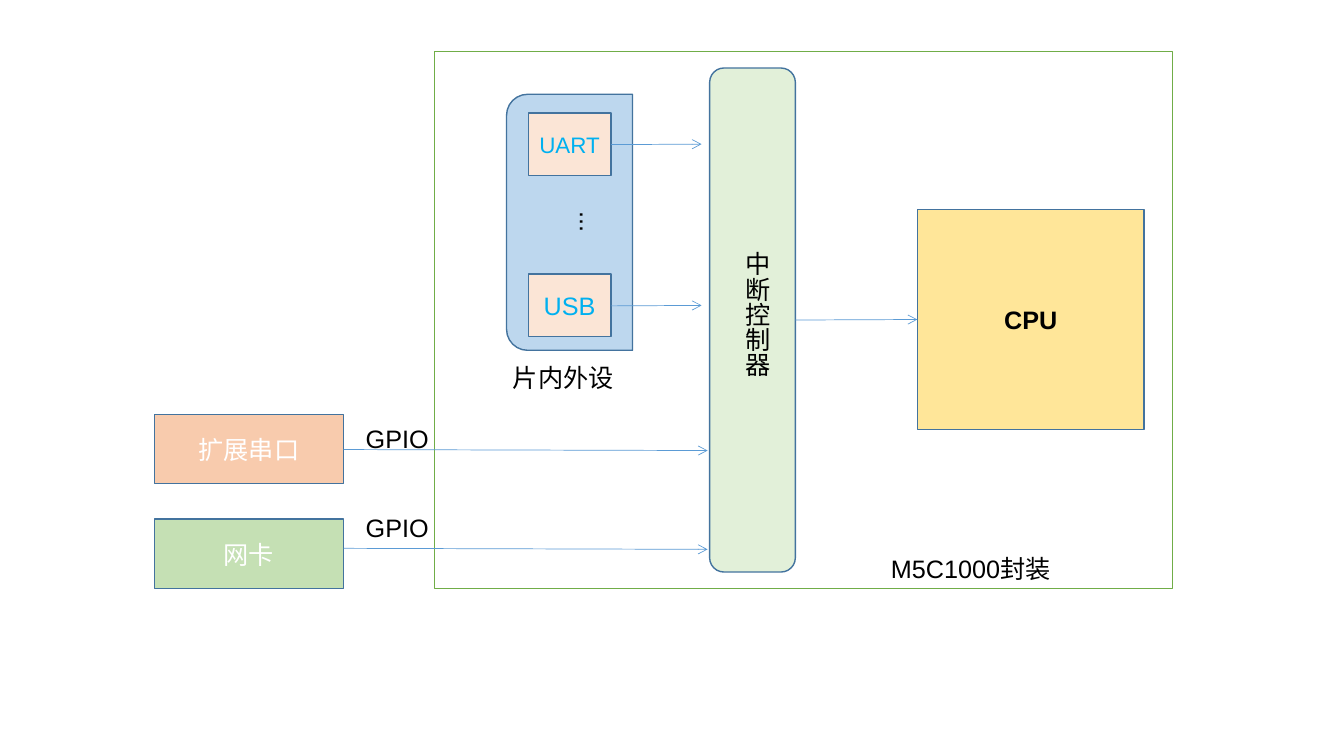
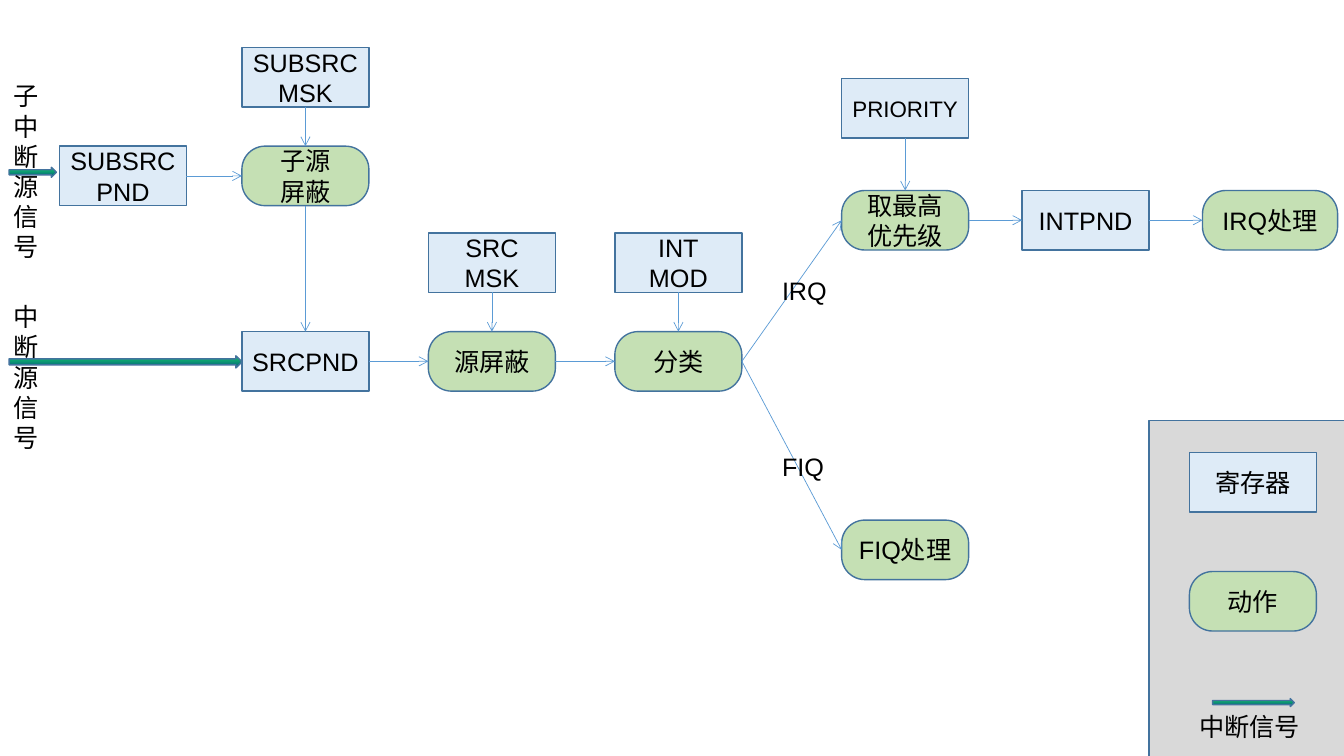
"""Build two slides on interrupt handling: the chip layout and the register flow."""
from lxml import etree
from pptx import Presentation
from pptx.dml.color import RGBColor
from pptx.enum.shapes import MSO_CONNECTOR, MSO_SHAPE
from pptx.enum.text import MSO_ANCHOR, PP_ALIGN
from pptx.oxml.ns import qn
from pptx.util import Inches, Pt

RECT, ROUND = MSO_SHAPE.RECTANGLE, MSO_SHAPE.ROUNDED_RECTANGLE
TAB, ARROW = MSO_SHAPE.ROUND_2_SAME_RECTANGLE, MSO_SHAPE.RIGHT_ARROW
STRAIGHT = MSO_CONNECTOR.STRAIGHT
MIDDLE, CENTER = MSO_ANCHOR.MIDDLE, PP_ALIGN.CENTER
TOP, LEFT, BOTTOM, RIGHT = range(4)

CELL = Inches(0.1)
COLS, ROWS = 133.33, 75
BORDER, LINK = "43739E", "5B9BD5"
GREEN, PALE_BLUE = "C5E0B4", "DEEBF7"
SIGNAL = ("14CD68", "035C7D")
FONT = {"name": "Arial", "size": Pt(18), "bold": False}


def box(s, kind, at, text="", fill=None, line=BORDER, color="000000", **fmt):
    """Add a shape, or a text box when kind is None, at grid cells x, y, w, h."""
    at = [round(v * CELL) for v in at]
    if kind is None:
        sp = s.shapes.add_textbox(*at)
    else:
        sp = s.shapes.add_shape(kind, *at)
        sp.shadow.inherit = False
        sp.line.color.rgb = RGBColor.from_string(line)
        sp.line.width = Pt(1)
        if isinstance(fill, tuple):
            sp.fill.gradient()
            sp.fill.gradient_angle = 270
            for stop, c in zip(sp.fill.gradient_stops, fill):
                stop.color.rgb = RGBColor.from_string(c)
        else:
            sp.fill.solid()
            sp.fill.fore_color.rgb = RGBColor.from_string(fill)
    tf = sp.text_frame
    tf.word_wrap = True
    if text:
        tf.text = text
    if kind is not None:
        tf.vertical_anchor = MIDDLE
    for p in tf.paragraphs:
        if kind is not None:
            p.alignment = CENTER
        for r in p.runs:
            for k, v in {**FONT, **fmt}.items():
                setattr(r.font, k, v)
            r.font.color.rgb = RGBColor.from_string(color)
    return sp


def link(s, x1, y1, x2, y2):
    """Add a thin connector with an open arrowhead at its end."""
    c = s.shapes.add_connector(STRAIGHT, *[round(v * CELL) for v in (x1, y1, x2, y2)])
    c.line.color.rgb = RGBColor.from_string(LINK)
    c.line.width = Pt(0.5)
    etree.SubElement(c.line._get_or_add_ln(), qn("a:tailEnd"), type="arrow")
    etree.SubElement(c._element.spPr, qn("a:effectLst"))
    return c


prs = Presentation()
prs.slide_width, prs.slide_height = round(COLS * CELL), ROWS * CELL
blank = prs.slide_layouts[6]

s = prs.slides.add_slide(blank)
box(s, RECT, (43.1, 5.1, 73.2, 53.3), fill="FFFFFF", line="70AD47")
sp = box(s, TAB, (43.8, 15.8, 25.4, 12.5), "...", "BDD7EE")
sp.rotation = 270
box(s, None, (49.9, 35.5, 12.8, 4), "片内外设")
controller = box(s, ROUND, (70.4, 6.75, 8.5, 50), fill="E2F0D9")
cpu = box(s, RECT, (91, 20.8, 22.5, 21.8), "CPU", "FFE699", bold=True)
sp = box(s, None, (72.1, 24, 5, 15.6), "中断控制器")
sp.text_frame._txBody.bodyPr.set("vert", "eaVert")
box(s, None, (87.4, 54.4, 24, 4), "M5C1000封装")

for text, y, size in (("UART", 11.2, 16), ("USB", 27.2, 18)):
    box(s, RECT, (52.4, y, 8.2, 6.2), text, "FBE5D6", color="00B0F0", size=Pt(size))
    link(s, 60.6, y + 3.15, 69.6, y + 3.1)

for text, y, fill, gpio_y, link_y in (("扩展串口", 41.1, "F8CBAD", 41.5, 44.6),
                                      ("网卡", 51.5, GREEN, 50.3, 54.4)):
    box(s, RECT, (15.3, y, 18.8, 6.9), text, fill, color="FFFFFF")
    link(s, 34.1, link_y, 70.2, link_y + 0.1)
    box(s, None, (35.3, gpio_y, 11.9, 4), "GPIO")

c = link(s, 0, 0, 0, 0)
c.begin_connect(controller, RIGHT)
c.end_connect(cpu, LEFT)

s = prs.slides.add_slide(blank)
W, H = 12.6, 5.9
X = (5.9, 24, 42.5, 61, 83.5, 101.4, 119.3)
SUB_Y, MAIN_Y, IRQ_Y, FIQ_Y = 14.5, 32.9, 18.9, 51.6
MASK_GAP = 9.8
LEGEND_X = 118

box(s, RECT, (114, 41.7, 19.5, 33.4), fill="D9D9D9")

registers = (
    ("SUBSRCPND", X[0], SUB_Y),
    ("SUBSRCMSK", X[1], SUB_Y - MASK_GAP),
    ("SRCPND", X[1], MAIN_Y),
    ("SRC\nMSK", X[2], MAIN_Y - MASK_GAP),
    ("INT\nMOD", X[3], MAIN_Y - MASK_GAP),
    ("PRIORITY", X[4], 7.8),
    ("INTPND", X[5], IRQ_Y),
    ("寄存器", LEGEND_X, 44.9),
)
actions = (
    ("子源\n屏蔽", X[1], SUB_Y),
    ("源屏蔽", X[2], MAIN_Y),
    ("分类", X[3], MAIN_Y),
    ("取最高优先级", X[4], IRQ_Y),
    ("FIQ处理", X[4], FIQ_Y),
    ("IRQ处理", X[6], IRQ_Y),
    ("动作", LEGEND_X, 56.7),
)
nodes = {}
for text, x, y in registers:
    size = Pt(16 if text == "PRIORITY" else 18)
    nodes[text] = box(s, RECT, (x, y, W, H), text, PALE_BLUE, size=size)
for text, x, y in actions:
    w = 13.4 if text == "IRQ处理" else W
    nodes[text] = box(s, ROUND, (x, y, w, H), text, GREEN)
    nodes[text].adjustments[0] = 0.39

flows = {
    (RIGHT, LEFT): (("SUBSRCPND", "子源\n屏蔽"), ("SRCPND", "源屏蔽"),
                    ("源屏蔽", "分类"), ("分类", "取最高优先级"),
                    ("分类", "FIQ处理"), ("取最高优先级", "INTPND"),
                    ("INTPND", "IRQ处理")),
    (BOTTOM, TOP): (("SUBSRCMSK", "子源\n屏蔽"), ("子源\n屏蔽", "SRCPND"),
                    ("SRC\nMSK", "源屏蔽"), ("INT\nMOD", "分类"),
                    ("PRIORITY", "取最高优先级")),
}
for (start, end), pairs in flows.items():
    for a, b in pairs:
        c = link(s, 0, 0, 0, 0)
        c.begin_connect(nodes[a], start)
        c.end_connect(nodes[b], end)

for at in ((0.9, 16.6, 4.7, 1), (0.9, 35.3, 23.1, 1.2), (120.3, 69.3, 8.1, 0.8)):
    box(s, ARROW, at, fill=SIGNAL)

for text, at in (("中断信号", (118, 70.1, 13.2, 4)),
                 ("IRQ", (76.6, 26.8, 8, 4)),
                 ("FIQ", (76.6, 44.3, 6.9, 4)),
                 ("子中断源信号", (0.4, 7.5, 5, 19.2)),
                 ("中断源信号", (0.4, 29.4, 5.2, 16.1))):
    box(s, None, at, text)

prs.save("out.pptx")
